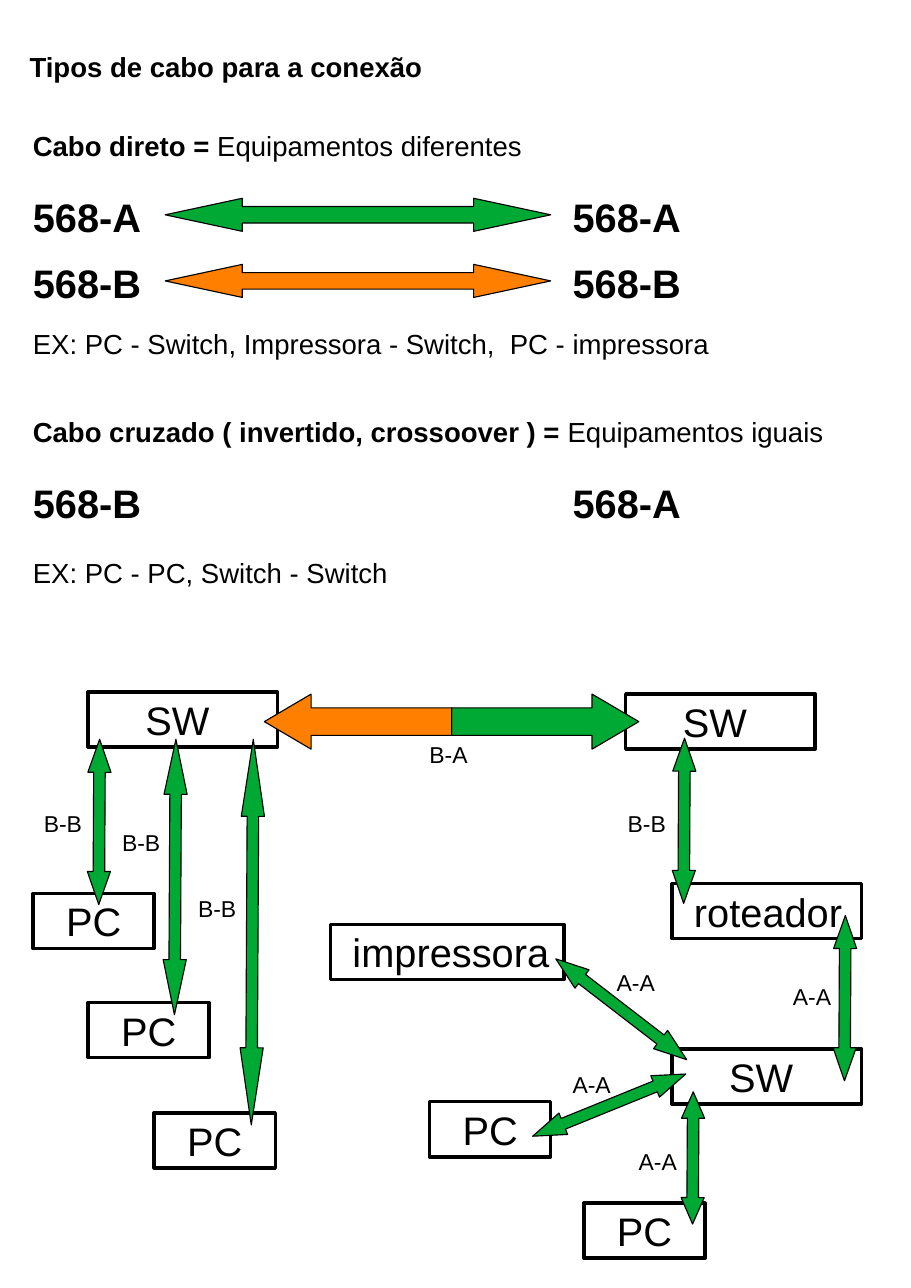
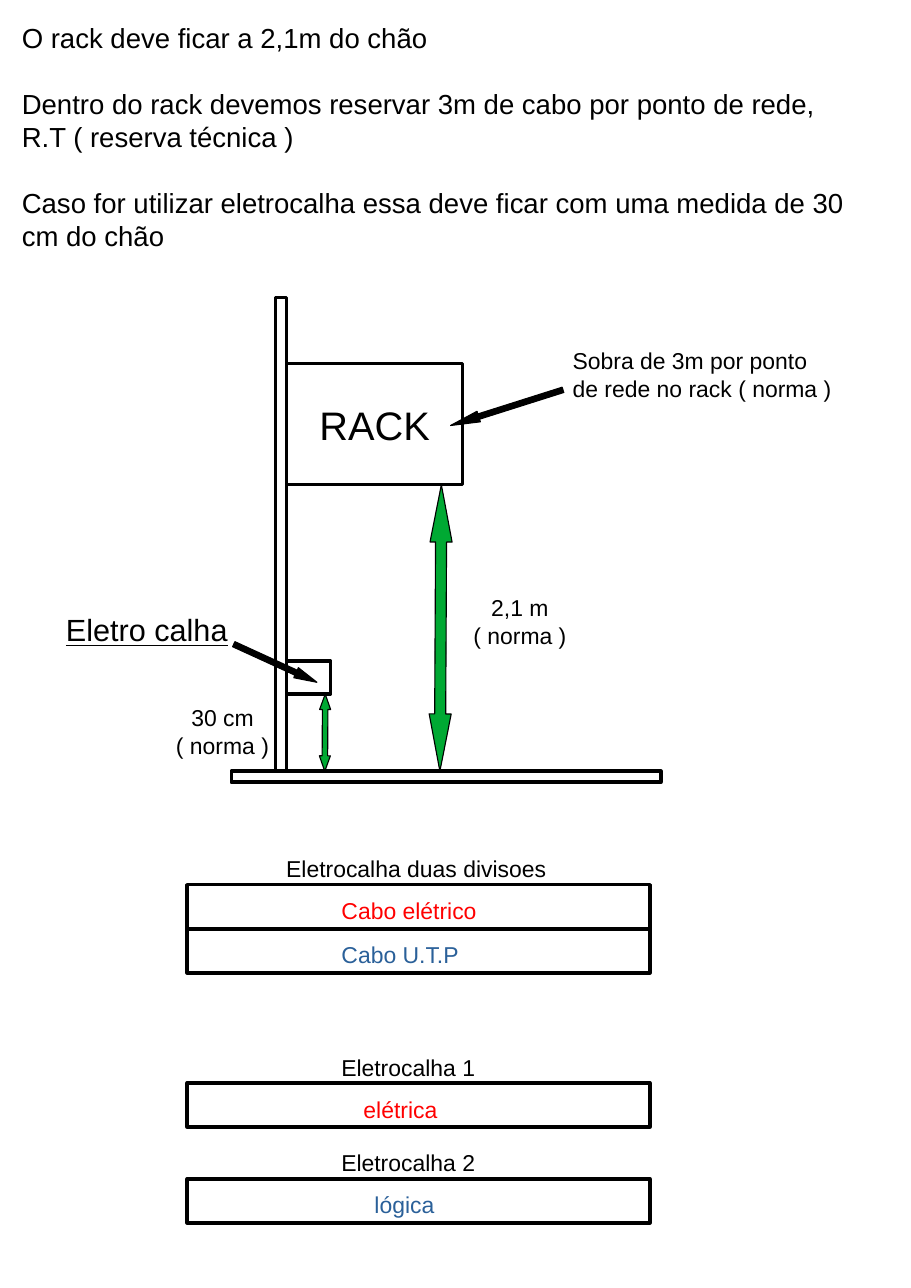
from dataclasses import dataclass
from typing import Any

from pptx import Presentation
from pptx.dml.color import RGBColor
from pptx.enum.shapes import MSO_SHAPE
from pptx.enum.text import MSO_ANCHOR, PP_ALIGN
from pptx.util import Inches, Pt

FONT = "Arial"
BLACK, GREEN, ORANGE = "000000", "00A933", "FF8000"
RED, BLUE = "FF0000", "2A6099"
BODY, LARGE, SMALL = 18, 26, 15
OUTLINE = 2.3
UPRIGHT = 90.3
NODE_HEIGHT = 0.5
HEAD_SHARE = {MSO_SHAPE.LEFT_RIGHT_ARROW: 1 / 5, MSO_SHAPE.RIGHT_ARROW: 1 / 4,
              MSO_SHAPE.LEFT_ARROW: 1 / 4}


def rgb(value):
    return RGBColor.from_string(value)


def add_run(paragraph, text, size, color=BLACK, bold=False, underline=False):
    run = paragraph.add_run()
    run.text = text
    font = run.font
    font.name, font.size, font.bold = FONT, Pt(size), bold
    font.color.rgb = rgb(color)
    if underline:
        font.underline = True


@dataclass
class Region:
    """Part of a slide; positions given to its methods start at its corner."""
    slide: Any
    left: float = 0
    top: float = 0

    def place(self, x, y, width, height):
        return [Inches(n) for n in (self.left + x, self.top + y, width, height)]

    def text(self, x, y, width, height, *paragraphs, size=BODY, gap=0,
             align=PP_ALIGN.LEFT, **style):
        """Add a text box; a paragraph is a string or a list of (text, bold)."""
        frame = self.slide.shapes.add_textbox(
            *self.place(x, y, width, height)).text_frame
        frame.word_wrap = True
        for index, content in enumerate(paragraphs):
            paragraph = frame.add_paragraph() if index else frame.paragraphs[0]
            paragraph.alignment = align
            if index and gap:
                paragraph.space_before = Pt(gap)
            if isinstance(content, str):
                add_run(paragraph, content, size, **style)
            else:
                for words, bold in content:
                    add_run(paragraph, words, size, bold=bold)

    def shape(self, kind, x, y, width, height, line_width, fill=None):
        shape = self.slide.shapes.add_shape(kind, *self.place(x, y, width, height))
        shape.shadow.inherit = False
        if fill:
            shape.fill.solid()
            shape.fill.fore_color.rgb = rgb(fill)
        else:
            shape.fill.background()
        shape.line.color.rgb = rgb(BLACK)
        shape.line.width = Pt(line_width)
        return shape

    def box(self, x, y, width, height, label=None, indent=0.1, size=LARGE,
            color=BLACK, drop=0):
        """Add an outlined box whose label starts at indent."""
        frame = self.shape(MSO_SHAPE.RECTANGLE, x, y, width, height,
                           OUTLINE).text_frame
        if label:
            frame.word_wrap = False
            frame.vertical_anchor = MSO_ANCHOR.MIDDLE
            frame.margin_left, frame.margin_right = Inches(indent), 0
            frame.margin_top, frame.margin_bottom = Inches(drop), 0
            frame.paragraphs[0].alignment = PP_ALIGN.LEFT
            add_run(frame.paragraphs[0], label, size, color)

    def arrow(self, center_x, center_y, length, thickness, angle=0,
              fill=GREEN, kind=MSO_SHAPE.LEFT_RIGHT_ARROW):
        arrow = self.shape(kind, center_x - length / 2, center_y - thickness / 2,
                           length, thickness, 0, fill)
        arrow.adjustments[0] = 0.5
        arrow.adjustments[1] = HEAD_SHARE[kind] * length / thickness
        arrow.rotation = angle


def cable_type(region, name, use, pairs, example, example_top):
    """Heading, one row for each pair of ends, and an example line."""
    region.text(0, 0, 7.5, 0.38, [(name, True), (use, False)])
    for index, (start, end, color) in enumerate(pairs):
        row = 0.58 + 0.6 * index
        region.text(0, row, 1.3, 0.5, start, size=LARGE, bold=True)
        if color:
            region.arrow(3.05, row + 0.25, 3.5, 0.3, fill=color)
        region.text(4.9, row, 1.3, 0.5, end, size=LARGE, bold=True)
    region.text(0, example_top, 7.5, 0.38, example)


def network(region):
    sizes = {"SW": (1.72, 0.52), "PC": (1.1, 0.3),
             "roteador": (1.72, 0.2), "impressora": (2.12, 0.2)}
    nodes = [("SW", 0.5, 0), ("SW", 5.38, 0.02), ("PC", 0, 1.83),
             ("PC", 0.5, 2.82), ("PC", 1.1, 3.82), ("roteador", 5.8, 1.74),
             ("SW", 5.8, 3.24), ("PC", 5, 4.64), ("PC", 3.6, 3.72),
             ("impressora", 2.7, 2.11)]
    for name, x, y in nodes:
        width, indent = sizes[name]
        region.box(x, y, width, NODE_HEIGHT, name, indent)

    region.arrow(4.65, 0.27, 1.7, 0.5, kind=MSO_SHAPE.RIGHT_ARROW)
    region.arrow(2.95, 0.27, 1.7, 0.5, fill=ORANGE, kind=MSO_SHAPE.LEFT_ARROW)
    region.text(3.5, 0.39, 0.7, 0.33, "B-A", size=SMALL)

    # Cable ends, arrow centre, length, angle, label corner
    links = [("B-B", 0.6, 1.18, 1.5, UPRIGHT, 0, 1.02),
             ("B-B", 1.29, 1.68, 2.5, UPRIGHT, 0.71, 1.19),
             ("B-B", 1.99, 2.18, 3.5, UPRIGHT, 1.4, 1.79),
             ("A-A", 7.37, 2.78, 1.5, UPRIGHT, 6.8, 2.59),
             ("A-A", 5.99, 4.23, 1.2, UPRIGHT, 5.4, 4.09),
             ("A-A", 5.23, 3.75, 1.5, 157.9, 4.8, 3.39),
             ("A-A", 5.34, 2.88, 1.5, 217.6, 5.2, 2.46),
             ("B-B", 5.91, 1.17, 1.5, UPRIGHT, 5.3, 1.02)]
    for ends, x, y, length, angle, label_x, label_y in links:
        region.arrow(x, y, length, 0.21, angle)
        region.text(label_x, label_y, 0.7, 0.33, ends, size=SMALL)


def rack_drawing(region):
    """Wall, floor, rack and cable tray with their heights."""
    region.box(2.1, 0.6, 1.6, 1.1, "RACK", 0.3)
    region.box(2, 0, 0.1, 4.3)
    region.box(1.6, 4.3, 3.9, 0.1)
    region.box(2.1, 3.3, 0.4, 0.3)

    region.arrow(3.5, 3, 2.6, 0.2, UPRIGHT)
    region.arrow(2.45, 3.95, 0.7, 0.1, UPRIGHT)
    for height, x, y in [("30 cm", 0.92, 3.64), ("2,1 m", 3.62, 2.64)]:
        region.text(x, y, 1.2, 0.56, height, "( norma )", size=SMALL,
                    align=PP_ALIGN.CENTER)

    region.text(4.6, 0.4, 2.6, 0.56,
                "Sobra de 3m por ponto de rede no rack ( norma )", size=SMALL)
    region.text(0, 2.8, 2.1, 0.43, "Eletro calha", size=20, underline=True)
    for x, y, length, angle in [(2, 3.32, 0.83, 24.6), (4.1, 1, 1.07, 162.4)]:
        region.arrow(x, y, length, 0.1, angle, BLACK, MSO_SHAPE.RIGHT_ARROW)


def cable_tray(region, title, title_x, divisions):
    """Title above stacked divisions of (label, indent, color)."""
    region.text(title_x, 0, 2.6, 0.33, title, size=SMALL)
    height = 0.4
    for index, (label, indent, color) in enumerate(divisions):
        region.box(0, 0.32 + height * index, 4.2, height, label, indent,
                   SMALL, color, drop=0.07)


def cables_slide(slide):
    Region(slide, 0.17, 0.4).text(
        0, 0, 4.13, 0.38, "Tipos de cabo para a conexão", bold=True)
    cable_type(Region(slide, 0.2, 1.12), "Cabo direto = ",
               "Equipamentos diferentes",
               [("568-A", "568-A", GREEN), ("568-B", "568-B", ORANGE)],
               "EX: PC - Switch, Impressora - Switch,  PC - impressora", 1.8)
    cable_type(Region(slide, 0.2, 3.72),
               "Cabo cruzado ( invertido, crossoover ) = ",
               "Equipamentos iguais", [("568-B", "568-A", None)],
               "EX: PC - PC, Switch - Switch", 1.28)
    network(Region(slide, 0.3, 6.28))


def rack_slide(slide):
    Region(slide, 0.1, 0.14).text(
        0, 0, 7.8, 2.06,
        "O rack deve ficar a 2,1m do chão",
        "Dentro do rack devemos reservar 3m de cabo por ponto de rede, "
        "R.T ( reserva técnica )",
        "Caso for utilizar eletrocalha essa deve ficar com uma medida de 30 "
        "cm do chão", gap=21.5)
    rack_drawing(Region(slide, 0.5, 2.7))
    trays = [(7.71, "Eletrocalha duas divisoes", 0.8,
              [("Cabo elétrico", 1.4, RED), ("Cabo U.T.P", 1.4, BLUE)]),
             (9.51, "Eletrocalha 1", 1.3, [("elétrica", 1.6, RED)]),
             (10.38, "Eletrocalha 2", 1.3, [("lógica", 1.7, BLUE)])]
    for top, title, title_x, divisions in trays:
        cable_tray(Region(slide, 1.7, top), title, title_x, divisions)


def main():
    deck = Presentation()
    deck.slide_width, deck.slide_height = Inches(8.27), Inches(11.69)
    for build in (cables_slide, rack_slide):
        build(deck.slides.add_slide(deck.slide_layouts[6]))
    deck.save("out.pptx")


if __name__ == "__main__":
    main()
